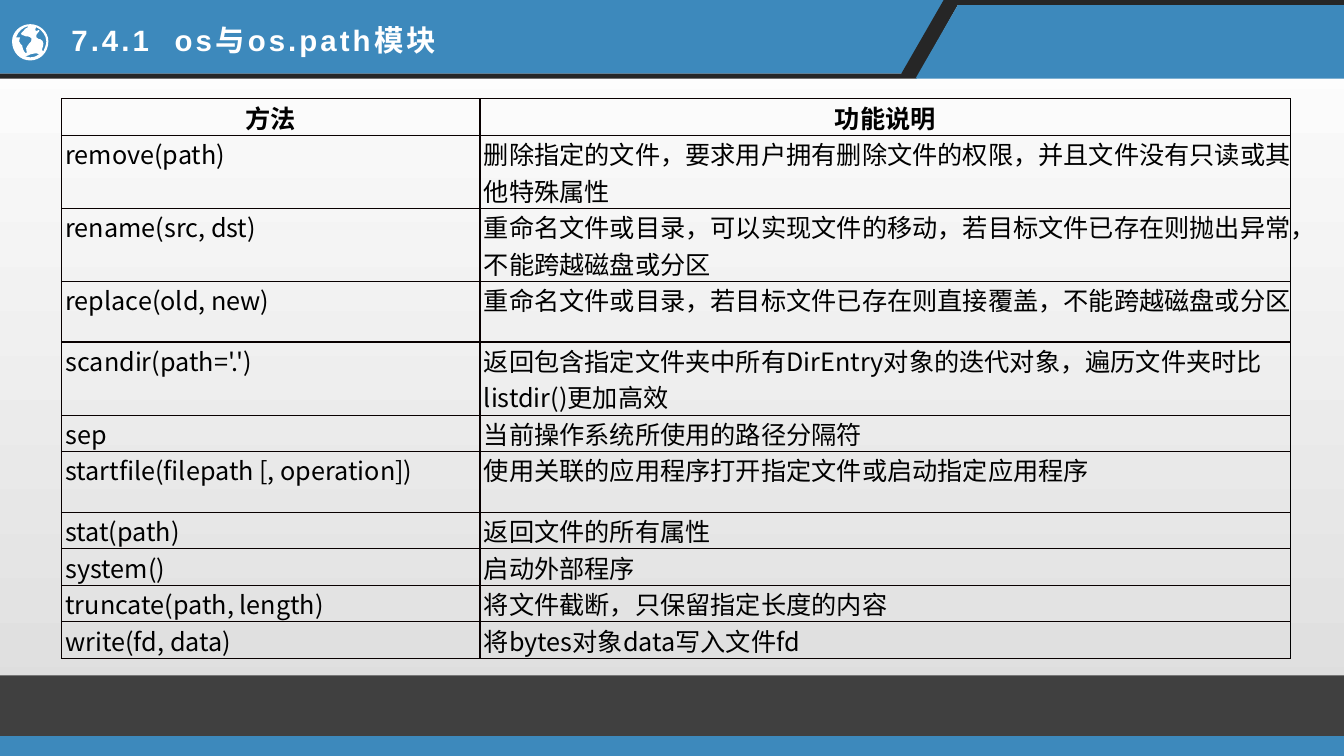
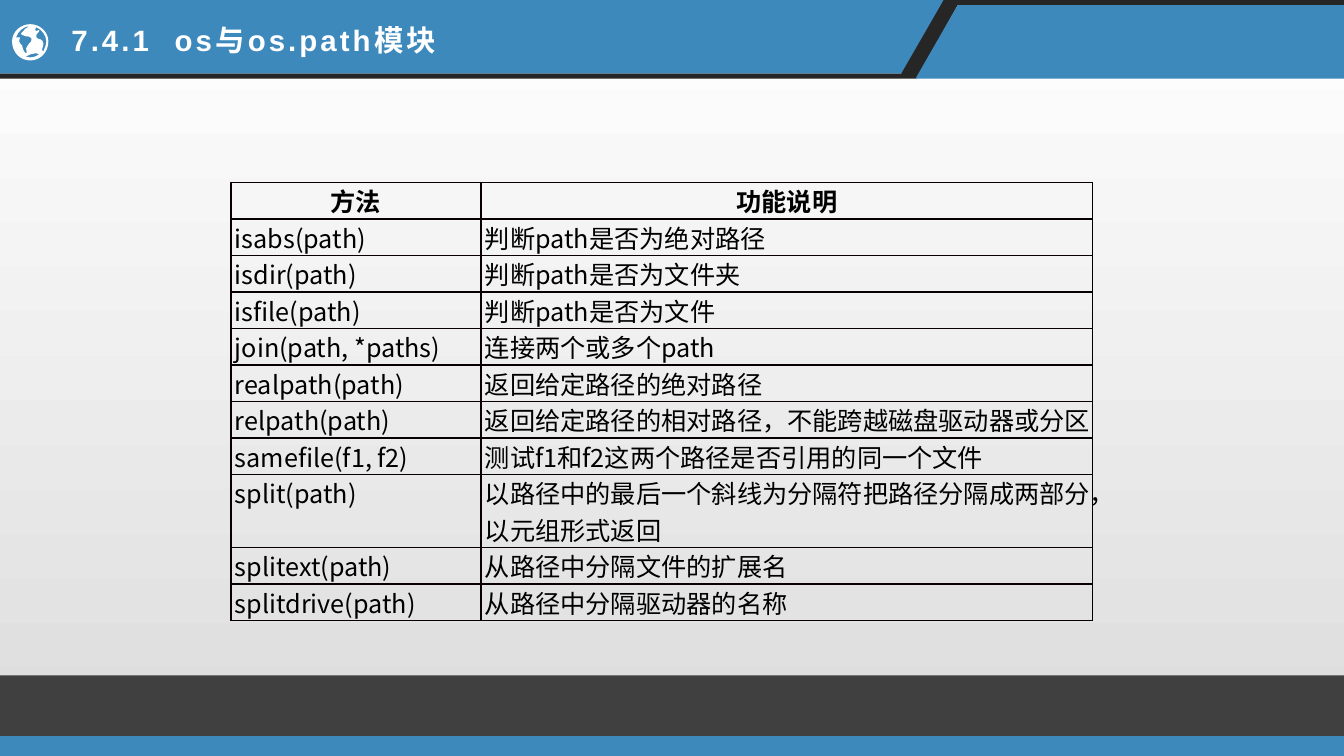
from lxml import etree
from pptx import Presentation
from pptx.dml import color as dml
from pptx.enum import shapes, text
from pptx.oxml import ns
from pptx.util import Inches, Pt

BLUE, DARK, GREY, WHITE, BLACK = "3D89BC", "262626", "404040", "FFFFFF", "000000"
BORDER, PALE = "080000", "DCDCDC"
LATIN, CJK = "Arial", "Noto Sans CJK SC"
WIDTH, HEIGHT = 13.33, 7.5

TITLE = [("7.4.1", 2.2), (" ", 10.2), ("os与os.path模块", 2.2)]
HEADER = ("方法", "功能说明", 1)
LINE_HEIGHT = 26.1
LOOSE = 1.66
TABLES = [
    {
        "left": 0.61, "top": 0.98, "columns": (4.15, 8.04),
        "rows": [
            ("remove(path)", "删除指定的文件，要求用户拥有删除文件的权限，并且文件没有只读或其他特殊属性", 2),
            ("rename(src, dst)", "重命名文件或目录，可以实现文件的移动，若目标文件已存在则抛出异常，不能跨越磁盘或分区", 2),
            ("replace(old, new)", "重命名文件或目录，若目标文件已存在则直接覆盖，不能跨越磁盘或分区", LOOSE),
            ("scandir(path='.')", "返回包含指定文件夹中所有DirEntry对象的迭代对象，遍历文件夹时比listdir()更加高效", 2),
            ("sep", "当前操作系统所使用的路径分隔符", 1),
            ("startfile(filepath [, operation])", "使用关联的应用程序打开指定文件或启动指定应用程序", LOOSE),
            ("stat(path)", "返回文件的所有属性", 1),
            ("system()", "启动外部程序", 1),
            ("truncate(path, length)", "将文件截断，只保留指定长度的内容", 1),
            ("write(fd, data)", "将bytes对象data写入文件fd", 1),
        ],
    },
    {
        "left": 2.29, "top": 1.81, "columns": (2.48, 6.07),
        "rows": [
            ("isabs(path)", "判断path是否为绝对路径", 1),
            ("isdir(path)", "判断path是否为文件夹", 1),
            ("isfile(path)", "判断path是否为文件", 1),
            ("join(path, *paths)", "连接两个或多个path", 1),
            ("realpath(path)", "返回给定路径的绝对路径", 1),
            ("relpath(path)", "返回给定路径的相对路径，不能跨越磁盘驱动器或分区", 1),
            ("samefile(f1, f2)", "测试f1和f2这两个路径是否引用的同一个文件", 1),
            ("split(path)", "以路径中的最后一个斜线为分隔符把路径分隔成两部分，以元组形式返回", 2),
            ("splitext(path)", "从路径中分隔文件的扩展名", 1),
            ("splitdrive(path)", "从路径中分隔驱动器的名称", 1),
        ],
    },
]

HEADER_BANDS = [
    (BLUE, [(0, 0), (9.4, 0), (8.99, 0.73), (0, 0.73)]),
    (DARK, [(9.36, 0), (WIDTH, 0), (WIDTH, 0.05), (9.5, 0.05), (9.09, 0.78),
            (0, 0.78), (0, 0.73), (8.94, 0.73)]),
    (BLUE, [(9.5, 0.05), (WIDTH, 0.05), (WIDTH, 0.78), (9.08, 0.78)]),
]
FOOTER_BANDS = [(BLUE, 7.29, 0.21), (GREY, 6.7, 0.6)]
GLOBE_CURVES = [
    "30 24 20 24 12 32 12 41 12 52 20 60 30 60 40 60 48 52 48 41 48 32 40 24 30 24",
    "46 41 46 45 44 48 43 51 42 51 41 49 42 48 43 47 43 44 43 43 43 42 42 39 40 39 "
    "39 39 38 39 36 37 35 33 40 32 39 30 38 29 35 33 35 29 35 28 35 28 36 27 "
    "41 29 46 35 46 41",
    "28 26 28 27 27 28 26 28 25 29 24 29 24 30 23 31 21 33 21 33 21 34 22 36 23 35 "
    "23 35 24 35 25 36 27 36 33 36 31 41 30 43 28 43 27 46 27 46 26 48 26 48 "
    "26 49 27 53 26 53 25 53 23 50 23 49 23 48 22 47 22 45 22 44 19 44 19 41 "
    "19 39 20 38 20 37 20 37 17 37 16 37 18 31 23 27 28 26",
    "25 56 27 56 27 55 28 55 28 55 29 55 30 54 31 54 33 53 35 53 36 53 38 53 39 54 "
    "36 56 33 57 30 57 28 57 27 56 25 56",
]


def rgb(value):
    """Return the colour of a hex string."""
    return dml.RGBColor.from_string(value)


def apply(target, values):
    """Set each attribute of the target from a dict."""
    for name, value in values.items():
        setattr(target, name, value)


def finish(shape, fill):
    """Give a shape a plain fill without line or shadow."""
    shape.shadow.inherit = False
    shape.fill.solid()
    shape.fill.fore_color.rgb = rgb(fill)
    shape.line.fill.background()


def add_outline(page, contours, fill):
    """Draw closed contours, given in inches, as one freeform."""
    scaled = [[(Inches(x), Inches(y)) for x, y in points] for points in contours]
    builder = page.shapes.build_freeform(*scaled[0][0])
    for index, points in enumerate(scaled):
        if index:
            builder.move_to(*points[0])
        builder.add_line_segments(points[1:], close=True)
    outline = builder.convert_to_shape()
    finish(outline, fill)
    return outline


def read_knots(curve):
    """Turn a string of hundredths into points in inches."""
    numbers = [int(number) / 100 for number in curve.split()]
    return list(zip(numbers[::2], numbers[1::2]))


def bend(outline):
    """Join every three line segments of an outline into one cubic curve."""
    segments = list(outline._element.iter(ns.qn("a:lnTo")))
    for start in range(0, len(segments), 3):
        first, *others = segments[start:start + 3]
        first.tag = ns.qn("a:cubicBezTo")
        for segment in others:
            first.append(segment[0])
            segment.getparent().remove(segment)


def add_span(para, words, font, size, color, bold):
    """Add a run with Latin and East Asian fonts."""
    span = para.add_run()
    span.text = words
    apply(span.font, {"name": font, "size": Pt(size), "bold": bold})
    span.font.color.rgb = rgb(color)
    properties = span.font._element
    etree.SubElement(properties, ns.qn("a:ea"), typeface=CJK)
    return properties


def add_frame(page):
    """Add the background, bands, globe and title."""
    fill = page.background.fill
    fill.gradient()
    fill.gradient_angle = 270
    for stop, color in zip(fill.gradient_stops, (WHITE, PALE)):
        stop.color.rgb = rgb(color)
    for color, points in HEADER_BANDS:
        add_outline(page, [points], color)
    for color, top, height in FOOTER_BANDS:
        finish(page.shapes.add_shape(shapes.MSO_SHAPE.RECTANGLE, 0, Inches(top),
                                     Inches(WIDTH), Inches(height)), color)
    bend(add_outline(page, [read_knots(curve) for curve in GLOBE_CURVES], WHITE))
    box = page.shapes.add_textbox(Inches(0.61), Inches(0.17), Inches(5.9), Inches(0.45))
    apply(box.text_frame, {"word_wrap": True, "vertical_anchor": text.MSO_ANCHOR.MIDDLE})
    for words, spacing in TITLE:
        properties = add_span(box.text_frame.paragraphs[0], words, LATIN, 21, WHITE, True)
        properties.set("spc", str(round(spacing * 100)))


def add_borders(cell, is_last):
    """Line all four sides of a cell, with a finer right edge in the last column."""
    properties = cell._tc.get_or_add_tcPr()
    for side in "LRTB":
        color, width = (BLACK, 0.75) if is_last and side == "R" else (BORDER, 1)
        line = etree.SubElement(properties, ns.qn(f"a:ln{side}"), w=str(Pt(width)))
        solid = etree.SubElement(line, ns.qn("a:solidFill"))
        etree.SubElement(solid, ns.qn("a:srgbClr"), val=color)


def add_methods(page, left, top, columns, rows):
    """Add the table of methods and their descriptions."""
    rows = [HEADER, *rows]
    height = Pt(LINE_HEIGHT * sum(row[-1] for row in rows))
    table = page.shapes.add_table(len(rows), len(columns), Inches(left), Inches(top),
                                  Inches(sum(columns)), height).table
    apply(table, {"first_row": False, "horz_banding": False})
    for column, width in zip(table.columns, columns):
        column.width = Inches(width)
    for r, (*words, lines) in enumerate(rows):
        table.rows[r].height = Pt(LINE_HEIGHT * lines)
        is_header = r == 0
        for c, content in enumerate(words):
            cell = table.cell(r, c)
            apply(cell, {"margin_left": Inches(0 if is_header else 0.04),
                         "margin_right": 0, "margin_top": 0, "margin_bottom": 0})
            add_borders(cell, c == len(columns) - 1)
            cell.fill.background()
            para = cell.text_frame.paragraphs[0]
            para.alignment = text.PP_ALIGN.CENTER if is_header else text.PP_ALIGN.LEFT
            add_span(para, content, CJK, 18, BLACK, is_header)


def main():
    """Build and save the deck."""
    deck = Presentation()
    apply(deck, {"slide_width": Inches(WIDTH), "slide_height": Inches(HEIGHT)})
    for methods in TABLES:
        page = deck.slides.add_slide(deck.slide_layouts[6])
        add_frame(page)
        add_methods(page, **methods)
    deck.save("out.pptx")


if __name__ == "__main__":
    main()
